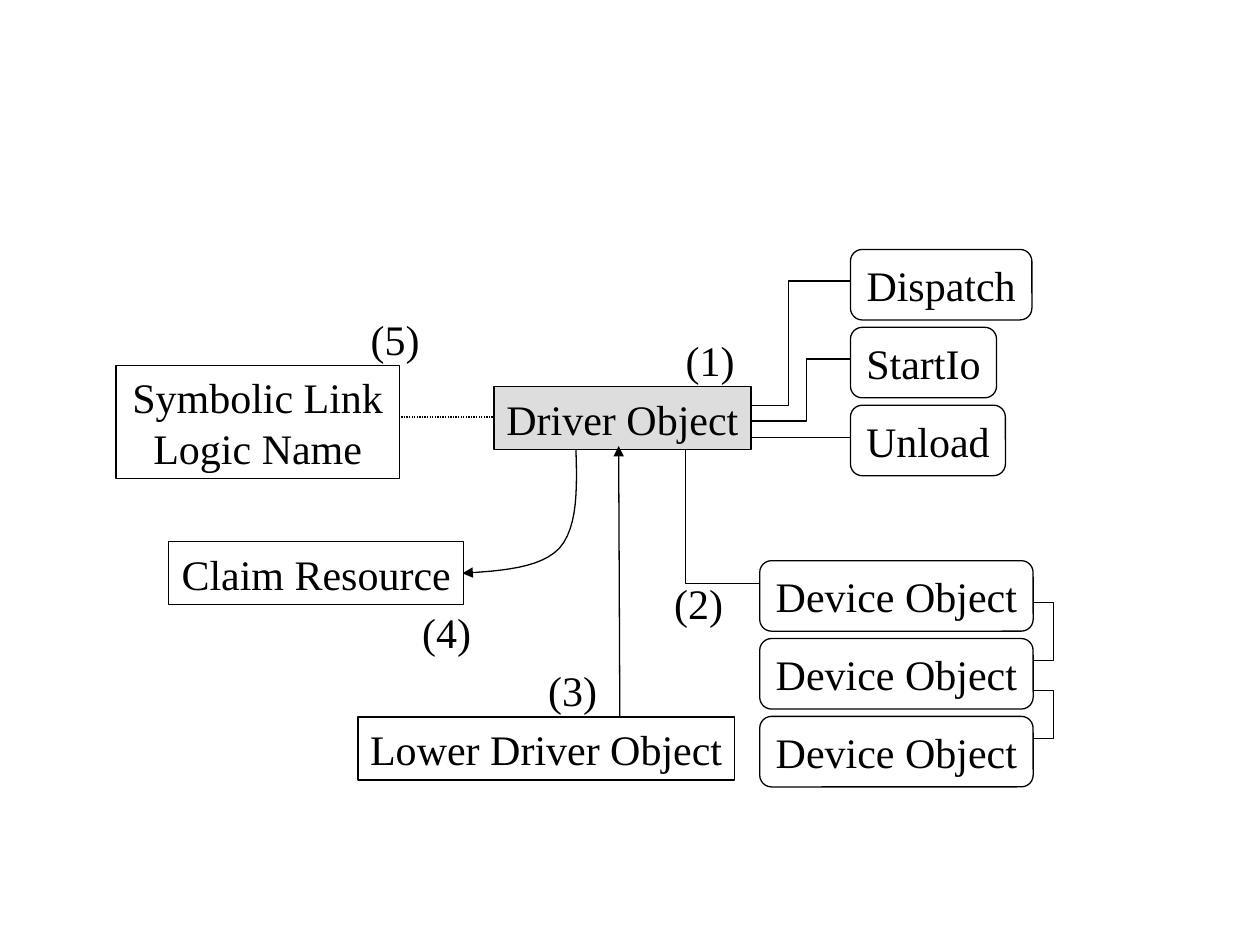
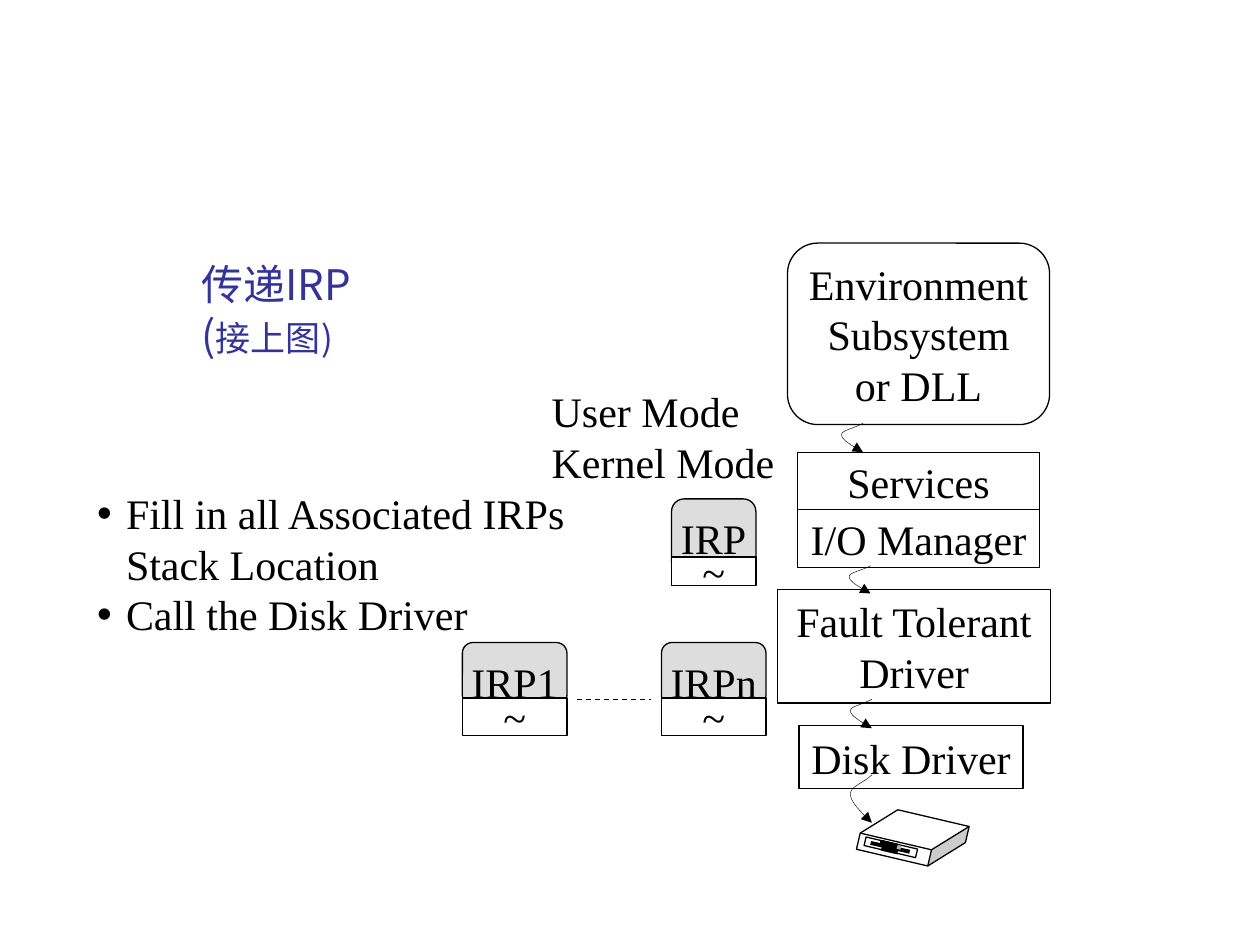
from lxml import etree
from pptx import Presentation
from pptx import util as u
from pptx.dml.color import RGBColor
from pptx.enum import dml, shapes, text
from pptx.oxml.ns import qn

CELL = u.Inches(0.1)
COLUMNS, ROWS = 100, 75
BLACK = RGBColor(0x00, 0x00, 0x00)
WHITE = RGBColor(0xFF, 0xFF, 0xFF)
SHADE = RGBColor(0xDD, 0xDD, 0xDD)
GLINT = RGBColor(0xB2, 0xB2, 0xB2)
TITLE_BLUE = RGBColor(0x33, 0x33, 0x99)
LATIN, CHINESE = "Times New Roman", "Noto Sans CJK SC"
SIZE, LEADING = 24, 29
RECT = shapes.MSO_SHAPE.RECTANGLE
ROUND = shapes.MSO_SHAPE.ROUNDED_RECTANGLE
CUBE = shapes.MSO_SHAPE.CUBE
CENTER, LEFT = text.PP_ALIGN.CENTER, text.PP_ALIGN.LEFT
TOP, MIDDLE = text.MSO_ANCHOR.TOP, text.MSO_ANCHOR.MIDDLE


def cells(*counts):
    return [round(count * CELL) for count in counts]


def write(frame, paragraphs, align=CENTER, anchor=MIDDLE, wrap=False,
          font=LATIN, color=BLACK):
    frame.word_wrap = wrap
    frame.auto_size = text.MSO_AUTO_SIZE.NONE
    frame.vertical_anchor = anchor
    for index, runs in enumerate(paragraphs):
        paragraph = frame.add_paragraph() if index else frame.paragraphs[0]
        paragraph.alignment = align
        paragraph.line_spacing = u.Pt(LEADING)
        paragraph.space_before = u.Pt(0)
        for words, size in runs:
            run = paragraph.add_run()
            run.text = words
            run.font.size = u.Pt(size)
            run.font.name = font
            run.font.color.rgb = color
            east_asian = etree.SubElement(run.font._element, qn("a:ea"))
            east_asian.set("typeface", font)


def plain(*lines):
    return [[(line, SIZE)] for line in lines]


def stroke(line, width=0.75, color=BLACK, dash=None, arrow=False):
    line.color.rgb = color
    line.width = u.Pt(width)
    if dash:
        line.dash_style = dash
    if arrow:
        head = etree.SubElement(line._get_or_add_ln(), qn("a:tailEnd"))
        head.set("type", "triangle")


def box(slide, area, *lines, kind=RECT, fill=WHITE, **style):
    shape = slide.shapes.add_shape(kind, *cells(*area))
    shape.shadow.inherit = False
    shape.fill.solid()
    shape.fill.fore_color.rgb = fill
    stroke(shape.line)
    if lines:
        write(shape.text_frame, plain(*lines), **style)
    return shape


def label(slide, area, *lines, **style):
    frame = slide.shapes.add_textbox(*cells(*area)).text_frame
    write(frame, plain(*lines), **style)


def link(slide, start, end, **style):
    connector = slide.shapes.add_connector(
        shapes.MSO_CONNECTOR.STRAIGHT, *cells(*start, *end))
    etree.SubElement(connector._element.spPr, qn("a:effectLst"))
    stroke(connector.line, **style)


def route(slide, points, **style):
    corners = [cells(*point) for point in points]
    builder = slide.shapes.build_freeform(*corners[0])
    builder.add_line_segments(corners[1:], close=False)
    shape = builder.convert_to_shape()
    shape.shadow.inherit = False
    shape.fill.background()
    stroke(shape.line, **style)


def bezier(a, b, c, d, steps=12):
    for step in range(1, steps + 1):
        t = step / steps
        s = 1 - t
        yield tuple(s**3 * p + 3 * s * s * t * q + 3 * s * t * t * r + t**3 * v
                    for p, q, r, v in zip(a, b, c, d))


def curve(slide, start, first, second, **style):
    points = [start, *bezier(start, *first), *bezier(first[-1], *second)]
    route(slide, points, arrow=True, **style)


def hook(slide, x, y, height):
    left, waist = x - 1.7, y + 0.4 * height
    curve(slide, (x, y),
          [(x - 0.85, y + 0.2 * height), (left, y + 0.24 * height), (left, waist)],
          [(left, y + 0.57 * height), (x - 0.85, y + 0.78 * height), (x, y + height)],
          width=0.25)


def packet(slide, name, left, top, width, height, split, stack_height):
    head = box(slide, (left, top, width, height), name,
               kind=ROUND, fill=SHADE, anchor=TOP)
    head.text_frame.margin_top = u.Inches(0.08)
    box(slide, (left, top + split, width, stack_height), "~")


def disk_drive(slide):
    case = box(slide, (68.3, 64.6, 8.3, 3.8), kind=CUBE)
    case.adjustments[0] = 0.654
    slot = box(slide, (68.6, 66.9, 4.2, 0.7))
    for part in (case, slot):
        part.rotation = 13.2
    link(slide, (69.1, 66.9), (72.2, 67.6), width=2.25)
    link(slide, (70, 67.1), (71.3, 67.4), width=6)
    link(slide, (70, 66.7), (70, 67.1), width=2.25)
    link(slide, (71.4, 67.1), (71.3, 67.4), width=2.25, color=GLINT)


def driver_object_slide(deck):
    slide = deck.slides.add_slide(deck.slide_layouts[6])
    curve(slide, (45.7, 35.4),
          [(45.8, 38.6), (45.9, 41.8), (44.4, 43.5)],
          [(42.9, 45.1), (39.8, 45.3), (36.7, 45.5)])
    for start, end in ((47.8, 52.4), (54.8, 58.6)):
        route(slide, [(81.9, start), (83.6, start), (83.6, end), (81.9, end)])
    link(slide, (59.6, 34.7), (70, 34.7))
    for left, bend, start, end in ((59.6, 64, 33.4, 28.5), (56.6, 62.6, 32.2, 22.3)):
        route(slide, [(left, start), (bend, start), (bend, end), (68.5, end)])
    route(slide, [(60.3, 46.3), (54.4, 46.3), (54.4, 35.4)])

    pitch = 6.18
    routines = (("Dispatch", 14.4), ("StartIo", 11.6), ("Unload", 12.3))
    for row, (routine, width) in enumerate(routines):
        box(slide, (67.5, 19.8 + row * pitch, width, 5.6), routine, kind=ROUND)
        box(slide, (60.3, 44.5 + row * pitch, 21.7, 5.6), "Device Object", kind=ROUND)

    box(slide, (39.2, 30.7, 20.4, 5), "Driver Object", fill=SHADE)
    link(slide, (49.2, 57.8), (49.1, 35.4), arrow=True)
    box(slide, (28.4, 56.9, 29.9, 5), "Lower Driver Object")
    link(slide, (30, 33.1), (39.2, 33.1), dash=dml.MSO_LINE.ROUND_DOT)
    box(slide, (9.2, 29, 22.5, 9), "Symbolic Link Logic Name", wrap=True)
    box(slide, (13.4, 43, 23.4, 5), "Claim Resource")

    steps = ((53.4, 26), (52.5, 45.3), (42.5, 52.2), (32.5, 47.6), (28.4, 24.4))
    for number, (left, top) in enumerate(steps, 1):
        label(slide, (left, top, 5.9, 5), f"({number})")


def place(holder, area):
    holder.left, holder.top, holder.width, holder.height = cells(*area)
    return holder.text_frame


def pass_irp_slide(deck):
    slide = deck.slides.add_slide(deck.slide_layouts[1])
    heading = place(slide.shapes.title, (15, 20, 19.2, 9))
    write(heading, [[("传递IRP", SIZE)], [("(", SIZE), ("接上图)", 20)]],
          align=LEFT, anchor=TOP, wrap=True, font=CHINESE, color=TITLE_BLUE)

    tasks = place(slide.placeholders[1], (6.7, 38.2, 40.8, 13))
    write(tasks, plain("Fill in all Associated IRPs Stack Location",
                       "Call the Disk Driver"), align=LEFT, wrap=True)
    for task in tasks.paragraphs:
        properties = task._p.get_or_add_pPr()
        properties.set("marL", str(u.Inches(0.23)))
        properties.set("indent", str(-u.Inches(0.23)))

    box(slide, (63.4, 57.6, 17.8, 5), "Disk Driver")
    subsystem = box(slide, (62.5, 19.3, 20.8, 14.4),
                    "Environment", "Subsystem", "or DLL", kind=ROUND)
    subsystem.adjustments[0] = 0.167
    for row, layer in enumerate(("Services", "I/O Manager")):
        box(slide, (63.3, 35.9 + row * 4.55, 19.2, 4.6), layer)
    box(slide, (61.7, 46.8, 21.7, 9), "Fault Tolerant Driver", wrap=True)

    for x, y, height in ((68.5, 33.6, 2.3), (69.1, 44.9, 2.2),
                         (69.2, 61.5, 3.8), (69.2, 55.5, 2.3)):
        hook(slide, x, y, height)
    disk_drive(slide)

    label(slide, (42.8, 30.1, 19.7, 9), "User Mode", "Kernel Mode", align=LEFT)
    packet(slide, "IRP", 53.3, 39.6, 6.7, 6, 4.6, 2.3)
    for name, left in (("IRPn", 52.5), ("IRP1", 36.7)):
        packet(slide, name, left, 51, 8.3, 5, 4.4, 3)
    link(slide, (45.8, 55.5), (51.7, 55.5), dash=dml.MSO_LINE.DASH)


def main():
    deck = Presentation()
    deck.slide_width, deck.slide_height = cells(COLUMNS, ROWS)
    driver_object_slide(deck)
    pass_irp_slide(deck)
    deck.save("out.pptx")


if __name__ == "__main__":
    main()
